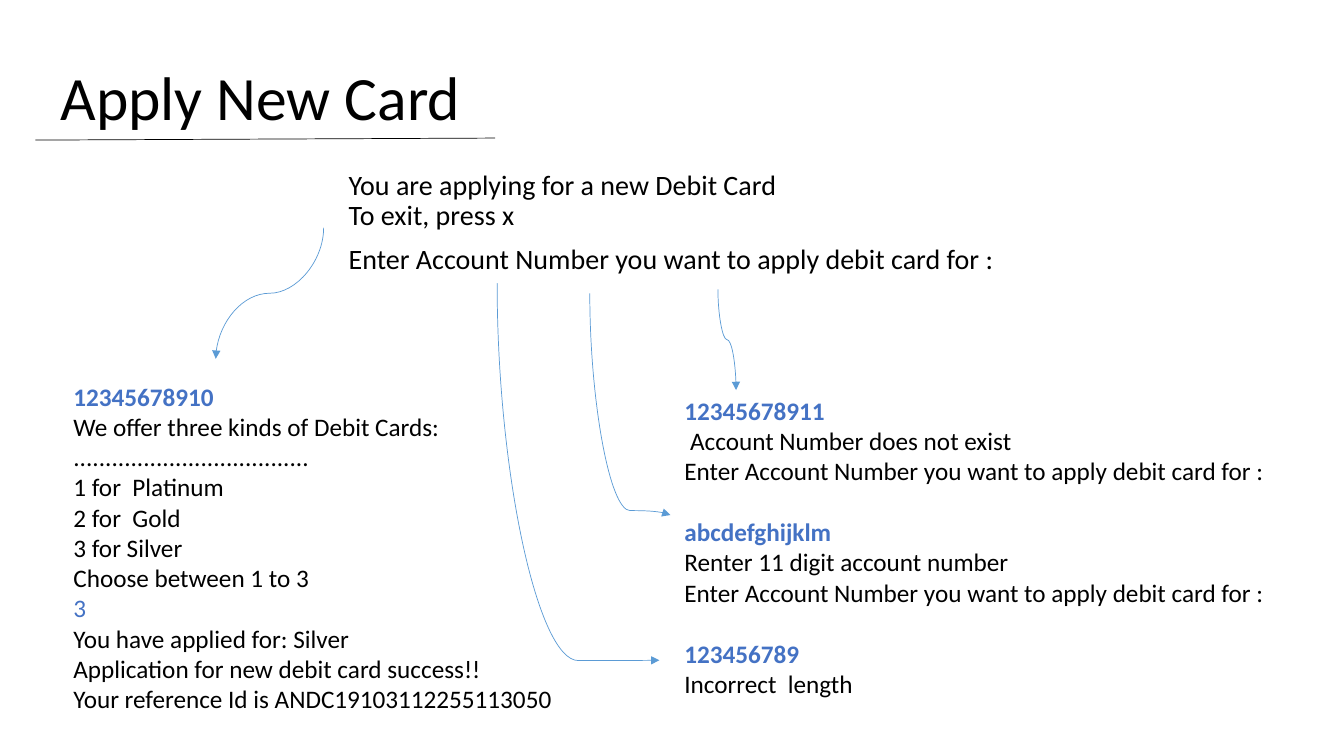
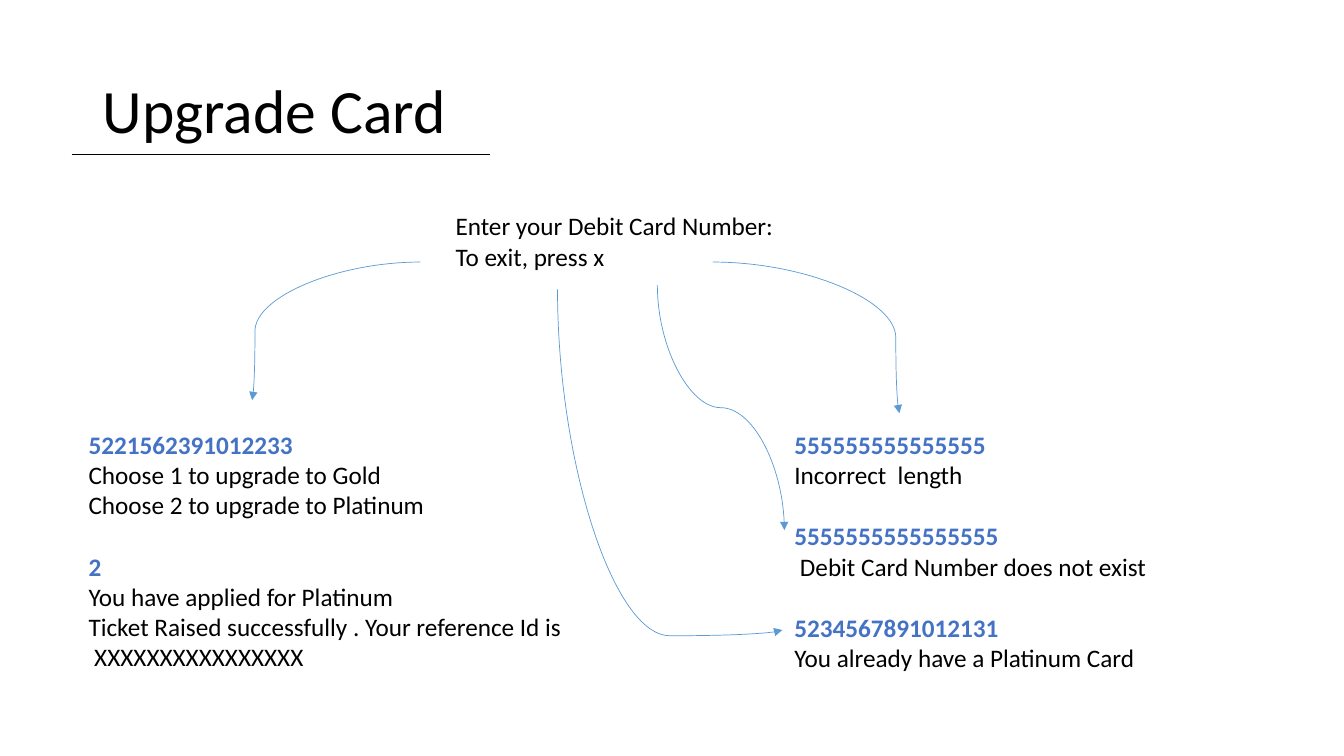
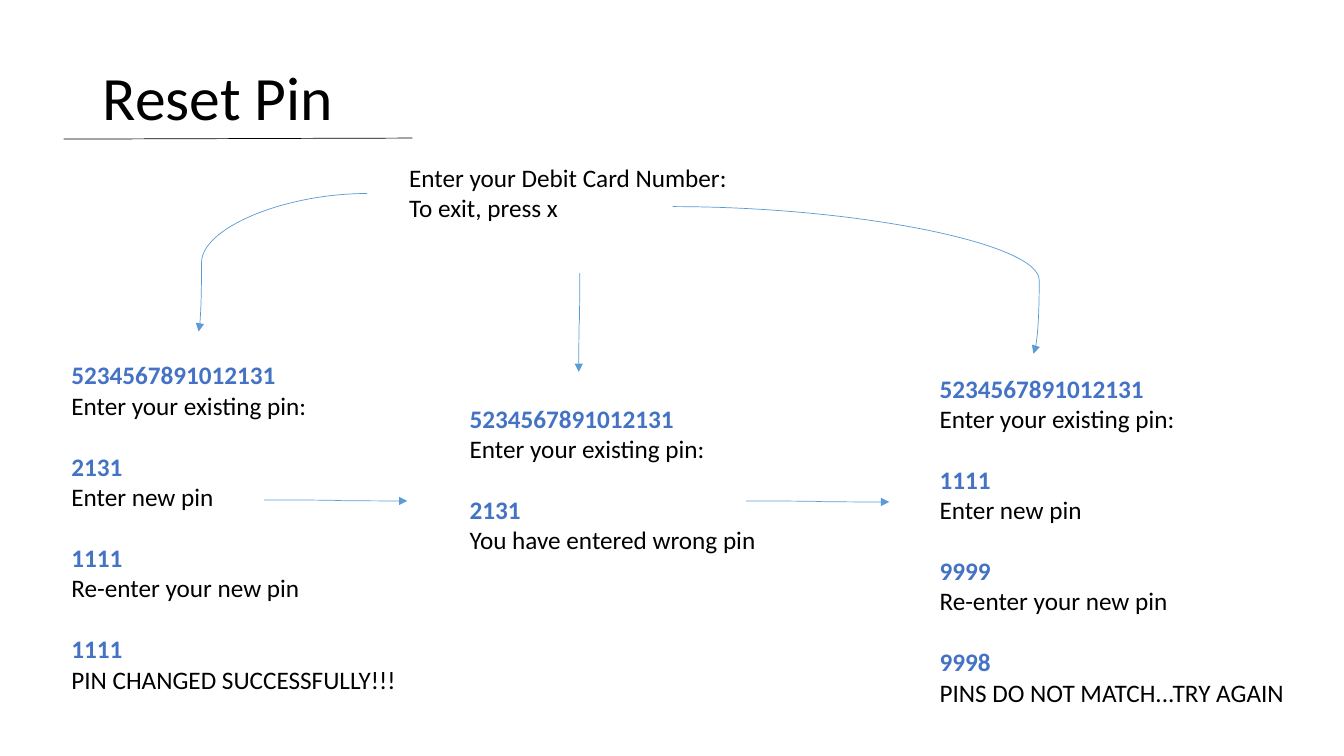
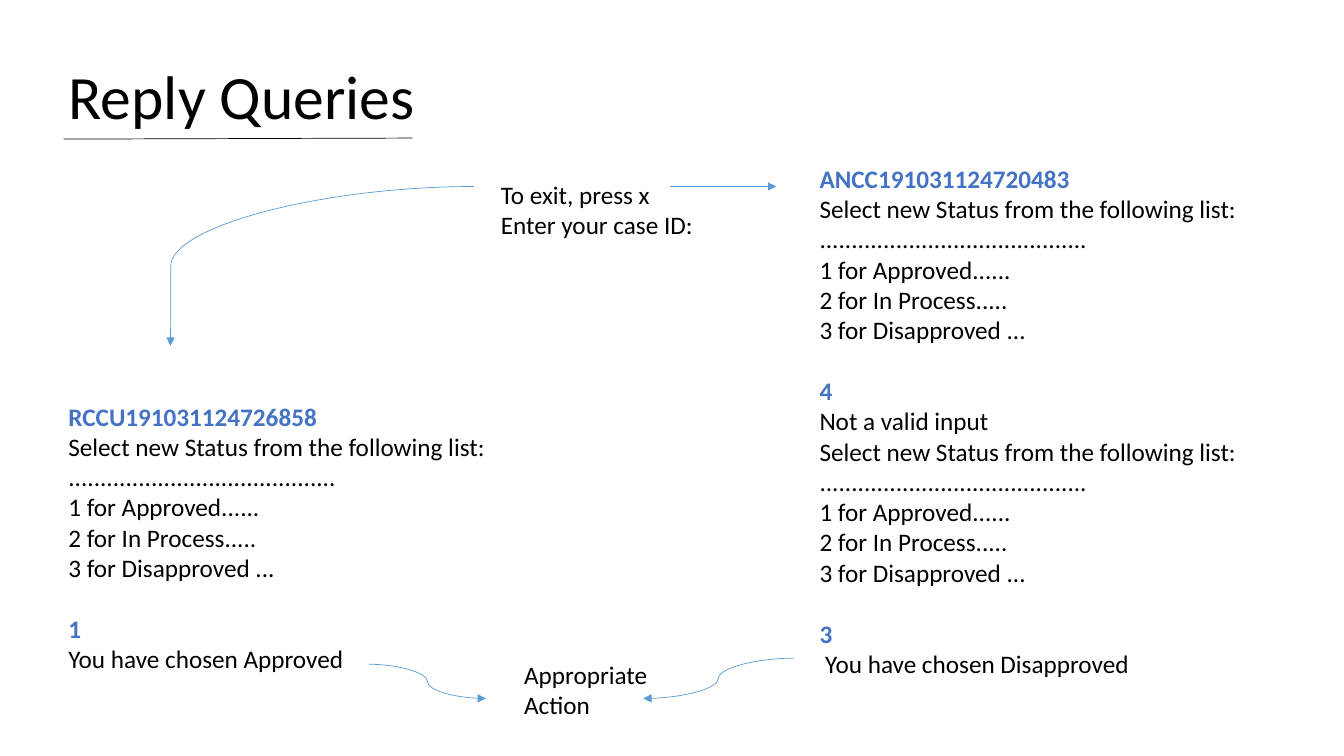
from math import cos, radians, sin

from lxml.etree import SubElement
from pptx import Presentation
from pptx.dml.color import RGBColor
from pptx.enum.shapes import MSO_CONNECTOR as Link
from pptx.enum.text import MSO_ANCHOR as Anchor, MSO_AUTO_SIZE as Fit, PP_ALIGN as Align
from pptx.oxml.ns import qn
from pptx.util import Inches, Pt

COLORS = {"ink": "000000", "entry": "4472C4", "arrow": "5B9BD5"}
FONT = "Calibri"
LINE = 22


def tint(name):
    return RGBColor.from_string(COLORS[name])


class Deck:
    def __init__(self):
        self.prs = Presentation()
        self.prs.slide_width = Inches(13.33)
        self.prs.slide_height = Inches(7.5)
        self.slide = None

    def page(self, title, left, top, start, end):
        self.slide = self.prs.slides.add_slide(self.prs.slide_layouts[5])
        head = self.slide.shapes.title
        head.left, head.top = Inches(left), Inches(top)
        head.width, head.height = Inches(11.5), Inches(1.45)
        frame = head.text_frame
        frame.auto_size = Fit.NONE
        frame.vertical_anchor = Anchor.MIDDLE
        para = frame.paragraphs[0]
        self.label(para, title, 44)
        para.alignment = Align.LEFT
        para.line_spacing = 0.9
        self.link(Link.STRAIGHT, start, end, "ink")

    def label(self, para, text, size=18, color="ink", bold=False):
        para.text = text
        for run in para.runs:
            font = run.font
            font.name, font.size, font.bold = FONT, Pt(size), bold
            font.color.rgb = tint(color)

    def box(self, left, top, width, height, fit=Fit.SHAPE_TO_FIT_TEXT):
        shape = self.slide.shapes.add_textbox(
            Inches(left), Inches(top), Inches(width), Inches(height))
        frame = shape.text_frame
        frame.word_wrap = True
        frame.auto_size = fit
        return frame

    def fill(self, frame, lines, size=18):
        paras = []
        for num, text in enumerate(lines):
            para = frame.add_paragraph() if num else frame.paragraphs[0]
            self.label(para, text, size)
            paras.append(para)
        return paras

    def prompt(self, left, top, *lines, width=6.67):
        self.fill(self.box(left, top, width, 0.71), lines)

    def intro(self, left, top, width, height, *lines):
        frame = self.box(left, top, width, height, Fit.NONE)
        for num, para in enumerate(self.fill(frame, lines, 20)):
            para.line_spacing = 0.9
            para.space_before = Pt(10 if num else 0)

    def talk(self, left, top, width, height, *steps):
        frame = self.box(left, top, width, height)
        paras = self.fill(frame, [line for step in steps for line in step])
        spot = 0
        for step in steps:
            para = paras[spot]
            self.label(para, step[0], color="entry", bold=True)
            para.space_before = Pt(LINE if spot else 0)
            spot += len(step)
        return paras

    def link(self, kind, start, end, color):
        line = self.slide.shapes.add_connector(
            kind, *(Inches(n) for n in (*start, *end)))
        line.line.color.rgb = tint(color)
        line.line.width = Pt(0.5)
        SubElement(line.element.spPr, qn("a:effectLst"))
        return line

    def arrow(self, start, end, bend=0.5, down=False):
        (x1, y1), (x2, y2) = start, end
        back = x2 < x1
        turn = (90 if back else 270) if down else (180 if back else 0)
        c, s = round(cos(radians(turn))), round(sin(radians(turn)))
        mid_x, mid_y = (x1 + x2) / 2, (y1 + y2) / 2
        half_x, half_y = (x2 - x1) / 2, (y2 - y1) / 2
        dx, dy = half_x * c + half_y * s, half_y * c - half_x * s
        line = self.link(Link.CURVE, (mid_x - dx, mid_y - dy),
                         (mid_x + dx, mid_y + dy), "arrow")
        line.rotation = turn
        props = line.element.spPr
        guides = props.find(qn("a:prstGeom")).find(qn("a:avLst"))
        SubElement(guides, qn("a:gd"), name="adj1",
                   fmla=f"val {round(bend * 100000)}")
        SubElement(props.find(qn("a:ln")), qn("a:tailEnd"), type="triangle")


deck = Deck()
ASK = "Enter Account Number you want to apply debit card for :"
CARD = ("Enter your Debit Card Number:", "To exit, press x")
HELD = "5234567891012131"
PIN = "Enter your existing pin:"
NEW = "Enter new pin"
AGAIN = "Re-enter your new pin"
MENU = ("Select new Status from the following list:", "." * 42,
        "1 for Approved......", "2 for In Process.....", "3 for Disapproved ...")

deck.page("Apply New Card", 0.5, 0.27, (0.35, 1.39), (4.91, 1.37))
deck.intro(3.36, 1.65, 7.06, 4.76,
           "You are applying for a new Debit Card\nTo exit, press x", ASK)
deck.talk(6.69, 3.87, 6.67, 3.13,
          ("12345678911", " Account Number does not exist", ASK),
          ("abcdefghijklm", "Renter 11 digit account number", ASK),
          ("123456789", "Incorrect  length"))
offer = deck.talk(0.63, 3.73, 6.67, 3.43, (
    "12345678910", "We offer three kinds of Debit Cards:", "." * 37,
    "1 for  Platinum\n2 for  Gold\n3 for Silver", "Choose between 1 to 3", "3",
    "You have applied for: Silver\nApplication for new debit card success!!\n"
    "Your reference Id is ANDC19103112255113050"))
deck.label(offer[5], "3", color="entry")
deck.arrow((3.21, 2.26), (2.14, 3.56), down=True)
deck.arrow((7.12, 2.87), (7.3, 3.87), down=True)
deck.arrow((5.85, 2.91), (6.65, 5.11), 0.98, down=True)
deck.arrow((4.93, 2.81), (6.54, 6.55), 1.001, down=True)

deck.page("Upgrade Card", 0.92, 0.4, (0.71, 1.53), (4.86, 1.53))
deck.talk(0.78, 4.21, 7.29, 2.52,
          ("5221562391012233", "Choose 1 to upgrade to Gold",
           "Choose 2 to upgrade to Platinum"),
          ("2", "You have applied for Platinum",
           "Ticket Raised successfully . Your reference Id is\n XXXXXXXXXXXXXXXX"))
deck.prompt(4.42, 2.04, *CARD)
deck.talk(7.78, 4.21, 6.67, 2.52,
          ("5" * 15, "Incorrect  length"),
          ("5" * 16, " Debit Card Number does not exist"),
          (HELD, "You already have a Platinum Card"))
deck.arrow((4.17, 2.6), (2.5, 3.97), 0.983)
deck.arrow((7.07, 2.6), (8.92, 4.1), 0.981)
deck.arrow((6.52, 2.83), (7.78, 5.26), down=True)
deck.arrow((5.53, 2.87), (7.76, 6.25), 1.017, down=True)

deck.page("Reset Pin", 0.92, 0.27, (0.63, 1.38), (4.09, 1.37))
deck.talk(0.61, 3.52, 3.67, 3.43, (HELD, PIN), ("2131", NEW),
          ("1111", AGAIN), ("1111", "PIN CHANGED SUCCESSFULLY!!!"))
deck.prompt(3.96, 1.56, *CARD)
deck.talk(9.22, 3.65, 3.78, 3.43, (HELD, PIN), ("1111", NEW),
          ("9999", AGAIN), ("9998", "PINS DO NOT MATCH...TRY AGAIN"))
deck.talk(4.56, 3.95, 3.28, 1.62, (HELD, PIN),
          ("2131", "You have entered wrong pin"))
deck.arrow((3.64, 1.92), (1.97, 3.29), 0.983)
deck.arrow((7.4, 4.97), (8.82, 4.98))
deck.arrow((2.62, 4.96), (4.04, 4.97))
deck.arrow((5.75, 2.71), (5.74, 3.69), down=True)
deck.arrow((6.67, 2.05), (10.25, 3.51), 1.016)

deck.page("Reply Queries", 0.58, 0.26, (0.63, 1.38), (4.09, 1.37))
deck.talk(0.58, 3.93, 6.67, 2.83, ("RCCU191031124726858", *MENU),
          ("1", "You have chosen Approved"))
deck.prompt(5.1, 6.49, "Appropriate\nAction", width=1.55)
deck.talk(8.03, 1.57, 6.67, 5.25, ("ANCC191031124720483", *MENU),
          ("4", "Not a valid input", *MENU),
          ("3", " You have chosen Disapproved"))
deck.prompt(4.87, 1.73, "To exit, press x", "Enter your case ID:")
deck.arrow((4.7, 1.85), (1.69, 3.43), 0.999)
deck.arrow((6.65, 1.85), (7.7, 1.85))
deck.arrow((3.66, 6.59), (4.82, 6.93))
deck.arrow((7.87, 6.53), (6.38, 6.93))

deck.prs.save("out.pptx")
